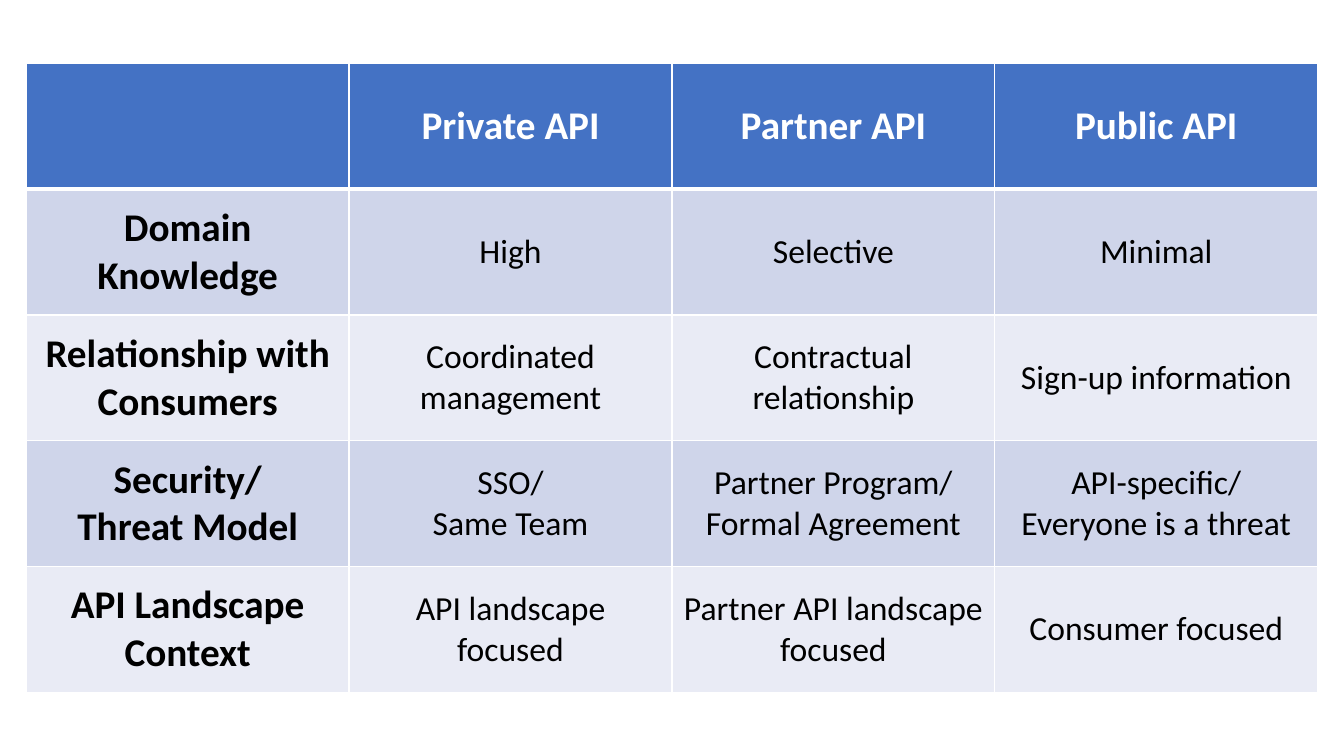
from lxml import etree
from pptx import Presentation
from pptx.dml.color import RGBColor
from pptx.enum.text import MSO_ANCHOR, PP_ALIGN
from pptx.oxml.ns import qn
from pptx.util import Emu, Pt

PX = 9144
BLANK_LAYOUT = 6
MIDDLE = MSO_ANCHOR.MIDDLE
CENTER = PP_ALIGN.CENTER
COLORS = {"header": "4472C4", "odd": "CFD5EA", "even": "E9EBF5",
          "white": "FFFFFF", "black": "000000"}
HEADING = {"name": "Calibri", "size": Pt(28), "bold": True}
BODY = {"name": "Calibri", "size": Pt(24), "bold": False}
ROWS = [
    ["", "Private API", "Partner API", "Public API"],
    ["Domain Knowledge", "High", "Selective", "Minimal"],
    ["Relationship with Consumers", "Coordinated management",
     "Contractual relationship", "Sign-up information"],
    ["Security/\nThreat Model", "SSO/\nSame Team",
     "Partner Program/\nFormal Agreement", "API-specific/\nEveryone is a threat"],
    ["API Landscape Context", "API landscape focused",
     "Partner API landscape focused", "Consumer focused"],
]


def set_borders(cell, widths):
    """Draw the white cell borders, given as points by side."""
    tcPr = cell._tc.get_or_add_tcPr()
    for side, width in widths.items():
        ln = etree.SubElement(tcPr, qn(f"a:ln{side}"), w=str(Pt(width)))
        fill = etree.SubElement(ln, qn("a:solidFill"))
        etree.SubElement(fill, qn("a:srgbClr"), val=COLORS["white"])


def format_cell(cell, text, fill, color, font):
    """Fill a cell and write its centred text."""
    cell.fill.solid()
    cell.fill.fore_color.rgb = RGBColor.from_string(COLORS[fill])
    cell.vertical_anchor = MIDDLE
    cell.text = text
    for p in cell.text_frame.paragraphs:
        p.alignment = CENTER
        p.font.color.rgb = RGBColor.from_string(COLORS[color])
        for name, value in font.items():
            setattr(p.font, name, value)


def add_comparison(slide, left, top, width, height):
    """Place the API comparison table in a box given in px."""
    box = [Emu(n * PX) for n in (left, top, width, height)]
    table = slide.shapes.add_table(len(ROWS), len(ROWS[0]), *box).table
    for r, row in enumerate(ROWS):
        fill = "header" if r == 0 else "odd" if r % 2 else "even"
        color = "white" if r == 0 else "black"
        widths = {"L": 1, "R": 1, "T": 3 if r == 1 else 1, "B": 3 if r == 0 else 1}
        for c, text in enumerate(row):
            cell = table.cell(r, c)
            set_borders(cell, widths)
            format_cell(cell, text, fill, color, HEADING if r == 0 or c == 0 else BODY)


def main():
    """Build the slide and save it."""
    prs = Presentation()
    prs.slide_width, prs.slide_height = Emu(1333 * PX), Emu(750 * PX)
    slide = prs.slides.add_slide(prs.slide_layouts[BLANK_LAYOUT])
    add_comparison(slide, 26, 63, 1281, 624)
    prs.save("out.pptx")


if __name__ == "__main__":
    main()
